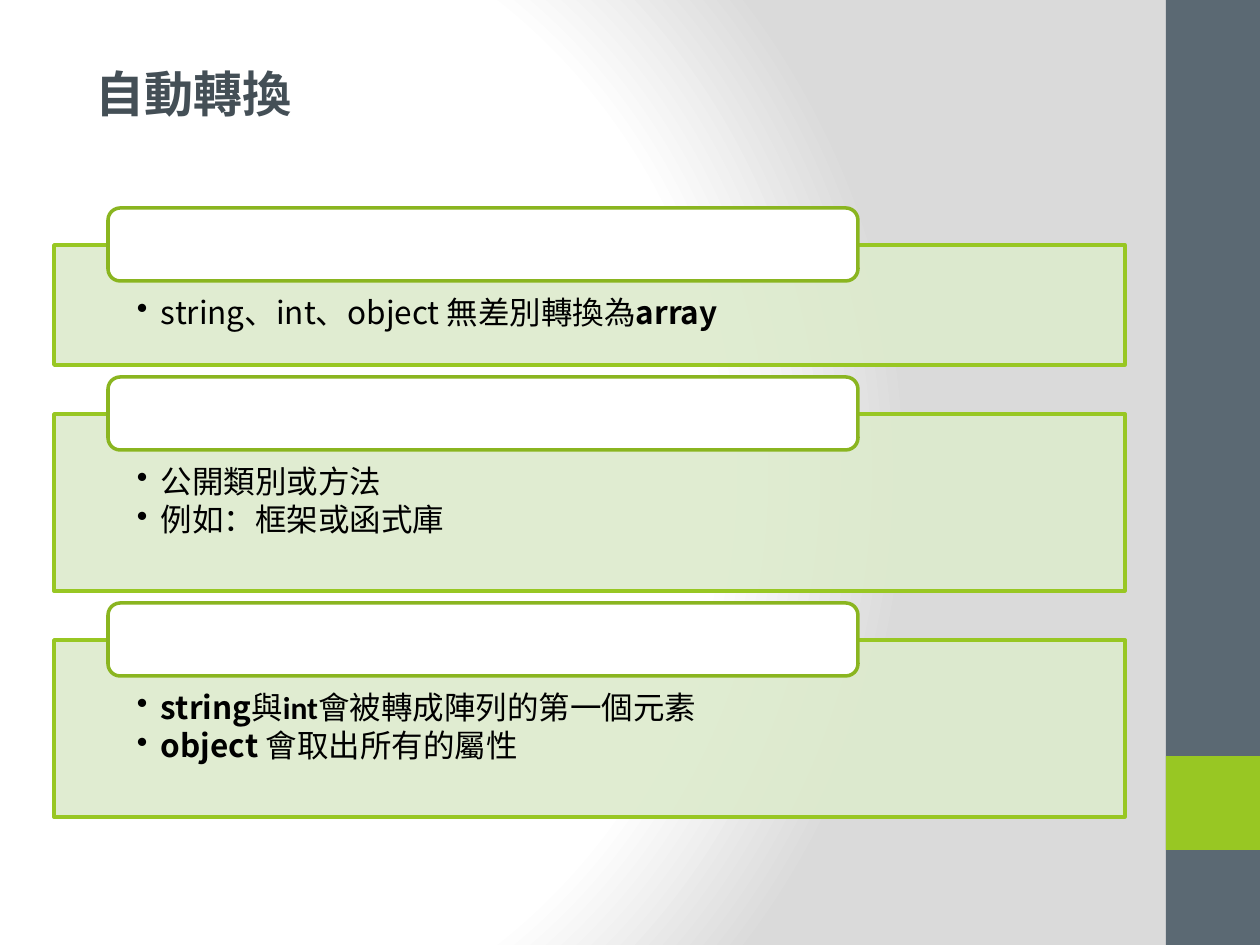
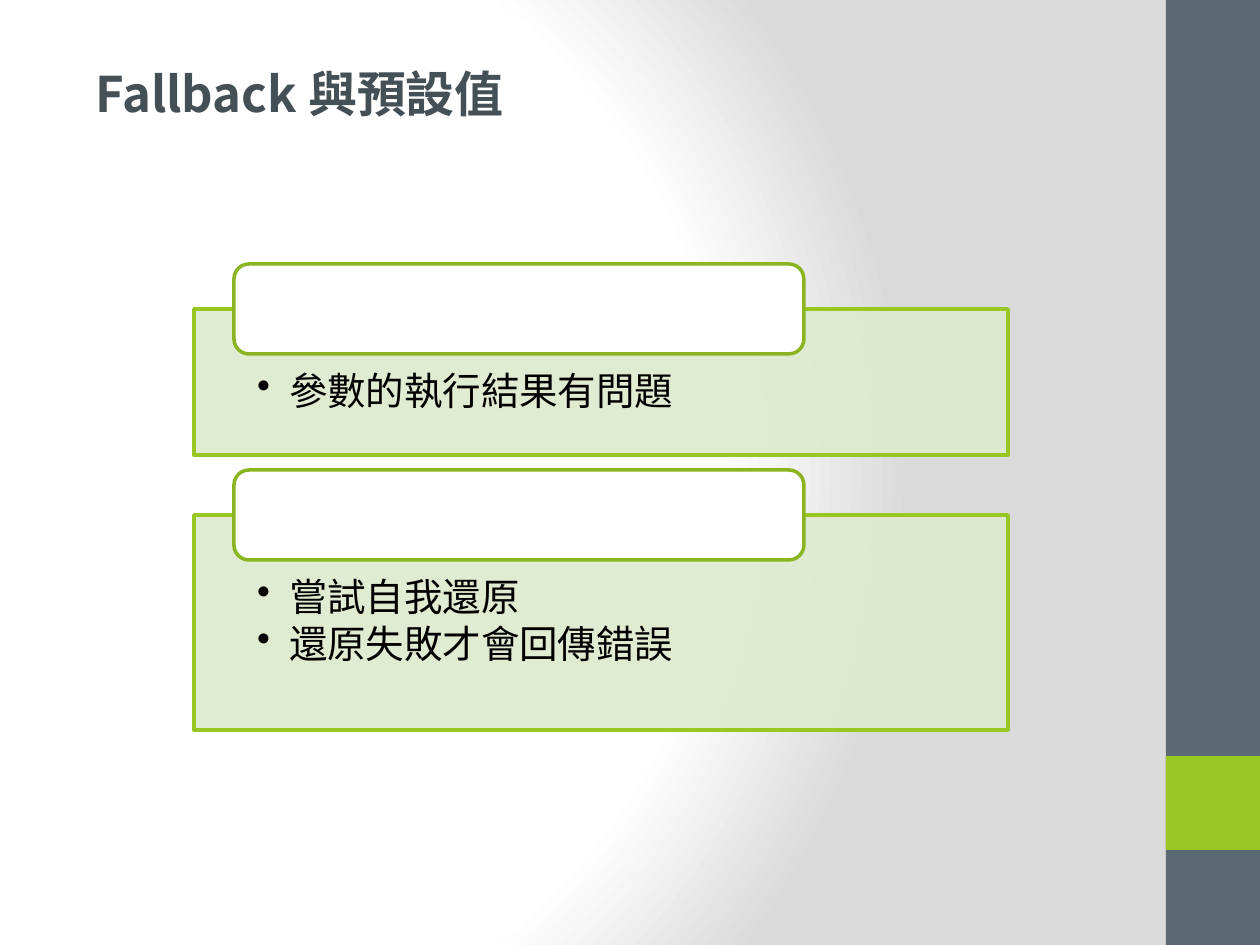
import pptx
import pptx.util
import pptx.dml.color
import pptx.enum.shapes
import pptx.enum.text
import pptx.oxml
import pptx.oxml.ns
from lxml import etree

PX = 914400 / 126
FONT = "Noto Sans CJK SC"
COLORS = {
    "slate": "5B6973", "title": "444F56", "lime": "98C723", "tab_line": "8AB520",
    "panel": "DDEBCD", "white": "FFFFFF", "grey": "DADADA", "text": "000000",
}
qn = pptx.oxml.ns.qn
RECT = pptx.enum.shapes.MSO_SHAPE.RECTANGLE
ROUND = pptx.enum.shapes.MSO_SHAPE.ROUNDED_RECTANGLE


def add_box(s, kind, box, fill, line=None):
    sp = s.shapes.add_shape(kind, *[round(v * PX) for v in box])
    sp.shadow.inherit = False
    sp.fill.solid()
    sp.fill.fore_color.rgb = pptx.dml.color.RGBColor.from_string(COLORS[fill])
    if line:
        sp.line.color.rgb = pptx.dml.color.RGBColor.from_string(COLORS[line])
        sp.line.width = pptx.util.Pt(2)
    else:
        sp.line.fill.background()
    return sp


def style_run(r, size, color, bold, font=FONT):
    r.font.size = pptx.util.Pt(size)
    r.font.bold = bold
    r.font.name = font
    r.font.color.rgb = pptx.dml.color.RGBColor.from_string(COLORS[color])
    etree.SubElement(r.font._element, qn("a:ea"), typeface=FONT)


# Each panel is (height, paragraphs); each paragraph lists (text, bold, font) runs
SLIDES = [
    {
        "title": "自動轉換", "left": 54, "top": 245, "width": 1071, "gap": 49,
        "tab": (54, 37, 750, 73), "insets": (83, 52, 83, 18), "indent": 24, "size": 18,
        "panels": [
            (120, [[("string、int、object\u00a0無差別轉換為", False, FONT), ("array", True, FONT)]]),
            (177, [[("公開類別或方法", False, FONT)],
                   [("例如：框架或函式庫", False, FONT)]]),
            (177, [[("string", True, FONT), ("與", False, "Calibri"), ("int", True, "Calibri"),
                    ("會被轉成陣列的第一個元素", False, "Calibri")],
                   [("object ", True, FONT), ("會取出所有的屬性", False, FONT)]]),
        ],
    },
    {
        "title": "Fallback 與預設值", "left": 194, "top": 309, "width": 814, "gap": 60,
        "tab": (40, 45, 570, 90), "insets": (63, 63, 63, 21), "indent": 32, "size": 22,
        "panels": [
            (146, [[("參數的執行結果有問題", False, FONT)]]),
            (215, [[("嘗試自我還原", False, FONT)],
                   [("還原失敗才會回傳錯誤", False, FONT)]]),
        ],
    },
]

prs = pptx.Presentation()
prs.slide_width = round(1260 * PX)
prs.slide_height = round(945 * PX)
master = prs.slide_master
layout = prs.slide_layouts[5]

# Shared background: radial gradient on the master
master.background.fill.solid()
bg = master.element.find(".//" + qn("p:bgPr"))
stops = "".join(
    f'<a:gs pos="{pos}000"><a:srgbClr val="{COLORS[name]}"/></a:gs>'
    for pos, name in [(0, "white"), (75, "white"), (100, "grey")])
bg.replace(bg[0], pptx.oxml.parse_xml(
    f'<a:gradFill {pptx.oxml.ns.nsdecls("a")} rotWithShape="1"><a:gsLst>{stops}</a:gsLst>'
    '<a:path path="circle"><a:fillToRect l="20000" t="50000" r="100000" b="50000"/></a:path>'
    '</a:gradFill>'))

for number, data in enumerate(SLIDES):
    s = prs.slides.add_slide(layout)

    # Shared side band, moved to the master once
    if number == 0:
        for i, (top, height, fill) in enumerate([(0, 945, "slate"), (756, 94, "lime")]):
            band = add_box(s, RECT, (1166, top, 94, height), fill)
            master.shapes.element.insert(2 + i, band.element)

    # Title
    title = s.shapes.title
    title.left, title.top, title.width, title.height = [round(v * PX) for v in (83, 57, 467, 72)]
    tf = title.text_frame
    tf.text = data["title"]
    tf.auto_size = pptx.enum.text.MSO_AUTO_SIZE.NONE
    tf.vertical_anchor = pptx.enum.text.MSO_ANCHOR.MIDDLE
    tf.paragraphs[0].alignment = pptx.enum.text.PP_ALIGN.LEFT
    style_run(tf.paragraphs[0].runs[0], 28, "title", True)

    # Stacked panels, each with a blank tab over its top edge
    top = data["top"]
    tab_dx, tab_lift, tab_width, tab_height = data["tab"]
    for height, paragraphs in data["panels"]:
        panel = add_box(s, RECT, (data["left"], top, data["width"], height), "panel", "lime")
        color = panel.fill._xPr.find(".//" + qn("a:srgbClr"))
        etree.SubElement(color, qn("a:alpha"), val="90000")

        tf = panel.text_frame
        tf.word_wrap = True
        tf.vertical_anchor = pptx.enum.text.MSO_ANCHOR.TOP
        tf.margin_left, tf.margin_top, tf.margin_right, tf.margin_bottom = [
            round(v * PX) for v in data["insets"]]
        for i, runs in enumerate(paragraphs):
            p = tf.paragraphs[0] if i == 0 else tf.add_paragraph()
            p.alignment = pptx.enum.text.PP_ALIGN.LEFT
            p.level = 1
            p.line_spacing = 0.9
            pPr = p._p.get_or_add_pPr()
            indent = round(data["indent"] * PX)
            pPr.set("marL", str(indent))
            pPr.set("indent", str(-indent))
            after = etree.SubElement(pPr, qn("a:spcAft"))
            etree.SubElement(after, qn("a:spcPct"), val="15000")
            etree.SubElement(pPr, qn("a:buChar"), char="•")
            for text, bold, font in runs:
                r = p.add_run()
                r.text = text
                style_run(r, data["size"], "text", bold, font)

        add_box(s, ROUND, (data["left"] + tab_dx, top - tab_lift, tab_width, tab_height),
                "white", "tab_line")
        top += height + data["gap"]

prs.save("out.pptx")
